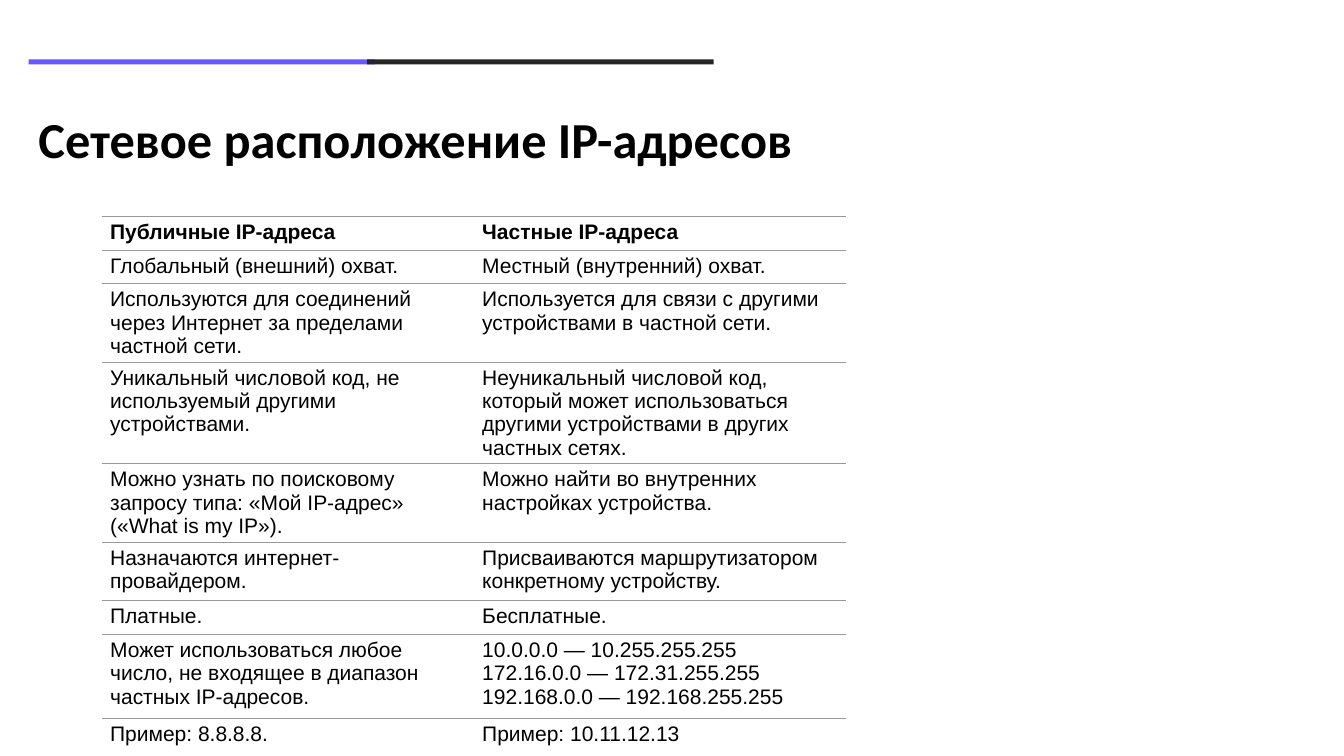
from lxml import etree
from pptx import Presentation
from pptx.dml.color import RGBColor
from pptx.enum.shapes import MSO_SHAPE
from pptx.enum.text import MSO_ANCHOR, MSO_AUTO_SIZE, PP_ALIGN
from pptx.oxml.ns import qn
from pptx.util import Pt

RECTANGLE = MSO_SHAPE.RECTANGLE
TOP = MSO_ANCHOR.TOP
LEFT = PP_ALIGN.LEFT
NO_AUTOFIT = MSO_AUTO_SIZE.NONE
TITLE_ONLY = 5

COMPARISON = [
    ("Публичные IP-адреса", "Частные IP-адреса"),
    ("Глобальный (внешний) охват.", "Местный (внутренний) охват."),
    ("Используются для соединений через Интернет за пределами частной сети.",
     "Используется для связи с другими устройствами в частной сети."),
    ("Уникальный числовой код, не используемый другими устройствами.",
     "Неуникальный числовой код, который может использоваться "
     "другими устройствами в других частных сетях."),
    ("Можно узнать по поисковому запросу типа: «Мой IP-адрес» («What is my IP»).",
     "Можно найти во внутренних настройках устройства."),
    ("Назначаются интернет-провайдером.",
     "Присваиваются маршрутизатором конкретному устройству."),
    ("Платные.", "Бесплатные."),
    ("Может использоваться любое число, не входящее в диапазон частных IP-адресов.",
     "10.0.0.0 — 10.255.255.255\n172.16.0.0 — 172.31.255.255\n"
     "192.168.0.0 — 192.168.255.255"),
    ("Пример: 8.8.8.8.", "Пример: 10.11.12.13"),
]
ROW_HEIGHTS = [24, 24, 42, 60, 42, 42, 24, 60, 24]


def color(hex_string):
    return RGBColor.from_string(hex_string)


class SlideBuilder:
    text_color = "000000"
    paper = "FFFFFF"
    rule_color = "999999"
    rule_width = 0.75
    heading_font, heading_size = "Calibri", 36
    body_font, body_size = "Arial", 15

    def __init__(self, slide):
        self.slide = slide

    def format_runs(self, paragraph, font, size, bold):
        for run in paragraph.runs:
            run.font.name = font
            run.font.size = Pt(size)
            run.font.bold = bold
            run.font.color.rgb = color(self.text_color)
        for line_break in paragraph._p.findall(qn("a:br")):
            etree.SubElement(line_break, qn("a:rPr"), sz=str(size * 100))

    def bar(self, left, top, width, height, fill):
        accent = self.slide.shapes.add_shape(
            RECTANGLE, Pt(left), Pt(top), Pt(width), Pt(height))
        accent.shadow.inherit = False
        accent.fill.solid()
        accent.fill.fore_color.rgb = color(fill)
        accent.line.fill.background()

    def title(self, text, left, top, width, height):
        heading = self.slide.shapes.title
        heading.left, heading.top = Pt(left), Pt(top)
        heading.width, heading.height = Pt(width), Pt(height)
        frame = heading.text_frame
        frame.text = text
        frame.word_wrap = True
        frame.auto_size = NO_AUTOFIT
        frame.vertical_anchor = TOP
        frame.paragraphs[0].alignment = LEFT
        self.format_runs(frame.paragraphs[0], self.heading_font, self.heading_size, True)

    def borders(self, cell, ruled_sides):
        properties = cell._tc.get_or_add_tcPr()
        for position, side in enumerate("LRTB"):
            border = etree.Element(qn(f"a:ln{side}"))
            if side in ruled_sides:
                border.set("w", str(Pt(self.rule_width)))
                fill = etree.SubElement(border, qn("a:solidFill"))
                etree.SubElement(fill, qn("a:srgbClr"), val=self.rule_color)
            else:
                etree.SubElement(border, qn("a:noFill"))
            properties.insert(position, border)

    def table(self, rows, left, top, column_width, row_heights):
        column_count = len(rows[0])
        grid = self.slide.shapes.add_table(
            len(rows), column_count, Pt(left), Pt(top),
            Pt(column_width * column_count), Pt(sum(row_heights))).table
        grid.first_row = False
        grid.horz_banding = False
        for column in grid.columns:
            column.width = Pt(column_width)
        for index, (texts, height) in enumerate(zip(rows, row_heights)):
            grid.rows[index].height = Pt(height)
            ruled_sides = "T" if index == len(rows) - 1 else "TB"
            for column_index, text in enumerate(texts):
                cell = grid.cell(index, column_index)
                cell.margin_left = cell.margin_right = Pt(6)
                cell.margin_top = cell.margin_bottom = Pt(3)
                cell.fill.solid()
                cell.fill.fore_color.rgb = color(self.paper)
                self.borders(cell, ruled_sides)
                paragraph = cell.text_frame.paragraphs[0]
                paragraph.text = text
                self.format_runs(paragraph, self.body_font, self.body_size, index == 0)


def main():
    presentation = Presentation()
    presentation.slide_width, presentation.slide_height = Pt(960), Pt(540)
    builder = SlideBuilder(
        presentation.slides.add_slide(presentation.slide_layouts[TITLE_ONLY]))
    for left, fill in ((20.4, "6759FE"), (262.3, "262626")):
        builder.bar(left, 42.5, 247.5, 3.6, fill)
    builder.title("Сетевое расположение IP-адресов", 20.2, 73.4, 584, 51)
    builder.table(COMPARISON, 72.7, 154.6, 265.8, ROW_HEIGHTS)
    presentation.save("out.pptx")


if __name__ == "__main__":
    main()
